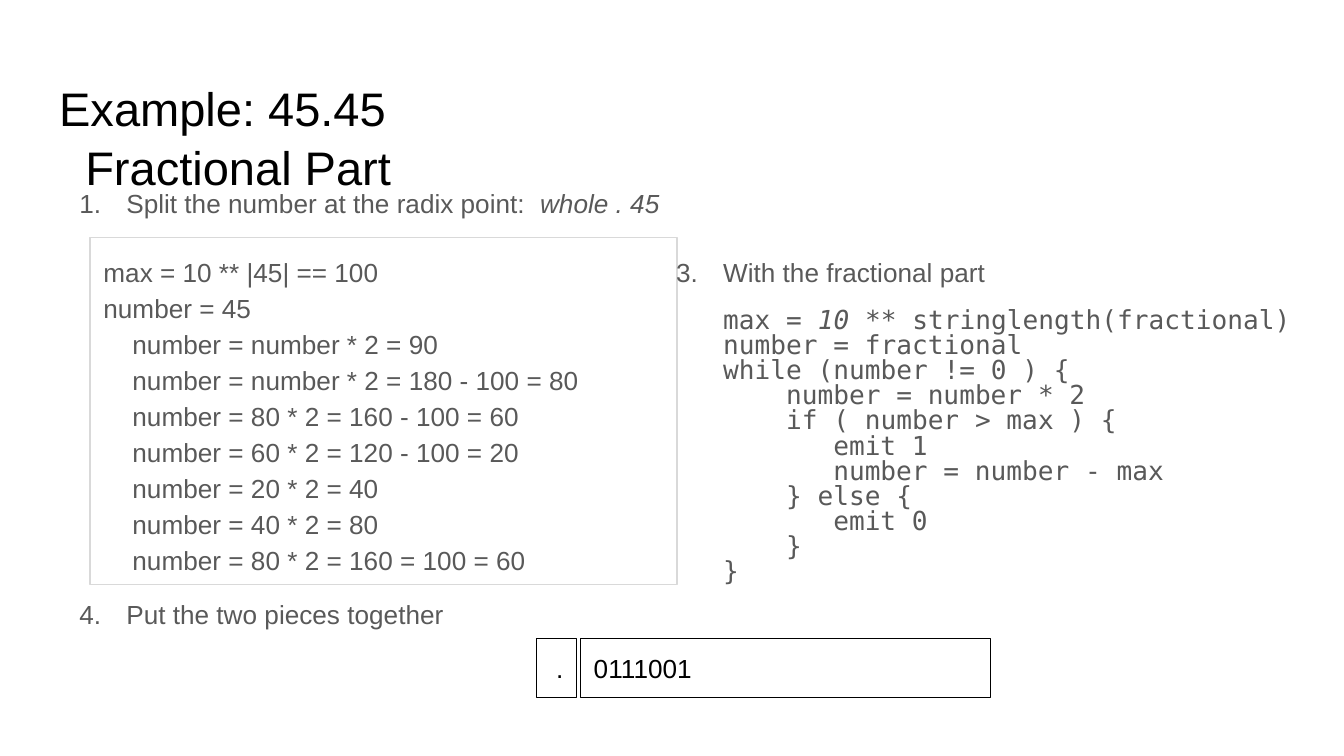
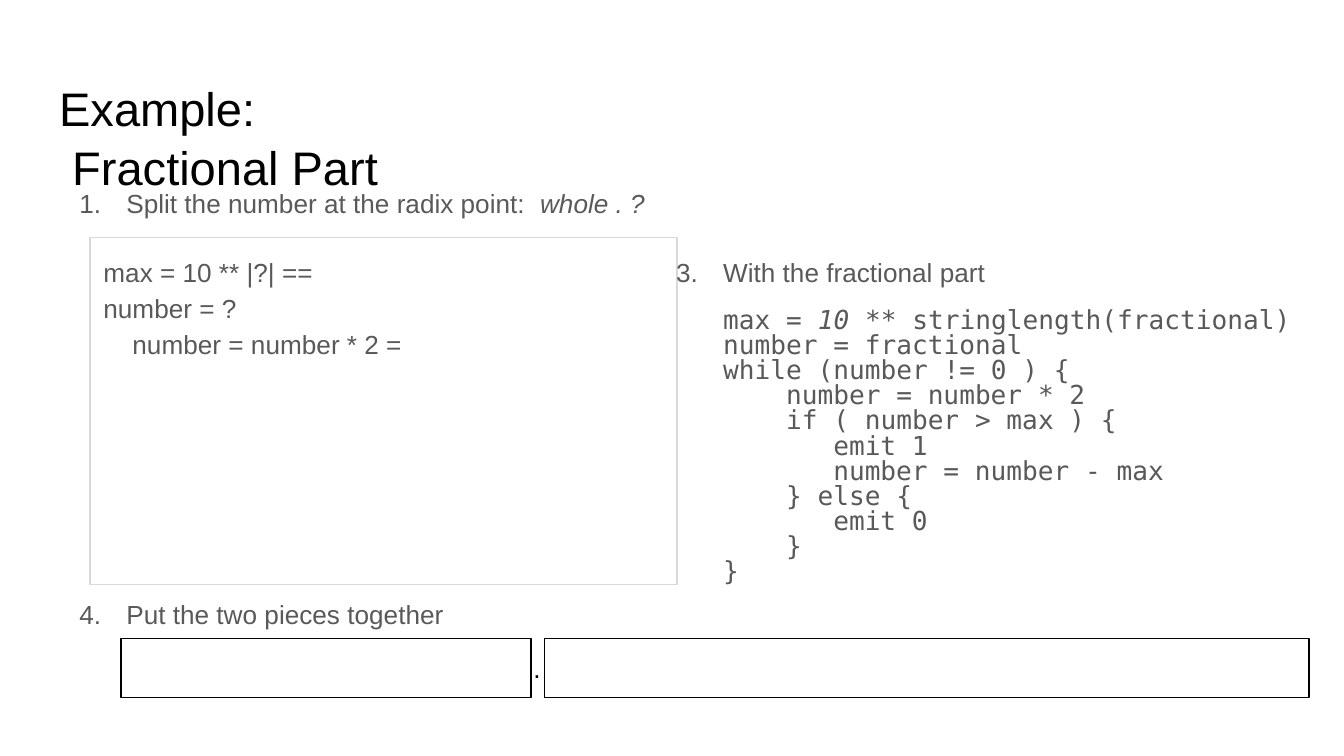
from dataclasses import dataclass

from lxml.etree import SubElement
from pptx import Presentation
from pptx.dml.color import RGBColor
from pptx.enum.shapes import MSO_SHAPE as Shape
from pptx.enum.text import MSO_ANCHOR as Anchor, MSO_AUTO_SIZE as AutoSize, PP_ALIGN as Align
from pptx.oxml.ns import qn
from pptx.util import Pt


@dataclass(frozen=True)
class Theme:
    ink: str = "000000"
    grey: str = "595959"
    rule: str = "D9D9D9"
    sans: str = "Arial"
    mono: str = "DejaVu Sans Mono"
    title: float = 25.2
    body: float = 14
    line: float = 0.75
    inset: float = 7.2


T = Theme()

# Lines of code are (columns of indent, text); result boxes are
# (left, width, text, alignment, outlined).
SLIDES = [
    dict(
        title="Example: 45.45", subtitle_indent=14, fraction="whole . 45",
        work=[
            (0, "max = 10 ** |45| == 100"),
            (0, "number = 45"),
            (4, "number = number * 2 = 90"),
            (4, "number = number * 2 = 180 - 100 = 80"),
            (4, "number = 80 * 2 = 160 - 100 = 60"),
            (4, "number = 60 * 2 = 120 - 100 = 20"),
            (4, "number = 20 * 2 = 40"),
            (4, "number = 40 * 2 = 80"),
            (4, "number = 80 * 2 = 160 = 100 = 60"),
        ],
        result=[(311, 219.6, "0111001", Align.LEFT, True),
                (287.3, 21.6, ".", Align.RIGHT, True)],
    ),
    dict(
        title="Example:", subtitle_indent=7, fraction="whole . ?",
        work=[
            (0, "max = 10 ** |?| =="),
            (0, "number = ?"),
            (4, "number = number * 2 ="),
        ],
        result=[(291.6, 409.7, "", Align.LEFT, True),
                (64.8, 219.6, "", Align.LEFT, True),
                (278.6, 15.1, ".", Align.LEFT, False)],
    ),
]
SUBTITLE = "Fractional Part"
SPLIT, FRACTION, JOIN = ("Split the number at the radix point:  ",
                         "With the fractional part", "Put the two pieces together")
ALGORITHM = [
    (0, ["max = ", "10 ", "** stringlength(fractional)"]),
    (0, ["number = fractional"]),
    (0, ["while (number != 0 ) {"]),
    (4, ["number = number * 2"]),
    (4, ["if ( number > max ) {"]),
    (7, ["emit 1"]),
    (7, ["number = number - max"]),
    (4, ["} else {"]),
    (7, ["emit 0"]),
    (4, ["}"]),
    (0, ["}"]),
]

TITLE_BOX = (24.5, 35.3, 671, 45.4)
STEPS_BOX = (24.5, 90.7, 655.2, 269.3)
WORK_BOX = (48.2, 127.4, 314.6, 185.8)
CODE_BOX = (344.2, 133.2, 365.8, 214.6)
RESULT_TOP, RESULT_HEIGHT = 342, 31.7
STEP_INDENT, STEP_HANG = 36, -25.2
JOIN_GAP = 200.6                   # leaves room for the work and the code
SPACE_WIDTH = 0.278 * T.body       # one blank in the sans font
COLUMN_WIDTH = 0.602 * T.body      # one character in the mono font


def prepare(shape, box=None, anchor=Anchor.TOP):
    """Place a shape and return its text frame with the shared insets."""
    if box:
        shape.left, shape.top, shape.width, shape.height = map(Pt, box)
    tf = shape.text_frame
    tf.word_wrap, tf.auto_size, tf.vertical_anchor = True, AutoSize.NONE, anchor
    tf.margin_left = tf.margin_right = tf.margin_top = tf.margin_bottom = Pt(T.inset)
    return tf


def add_text(tf, *runs, size=T.body, font=T.sans, color=T.grey, align=Align.LEFT,
             spacing=1.0, before=0, indent=0, hang=0, number=None, italic=None):
    """Add a paragraph; italic is the index of the slanted run, if any."""
    p = tf.paragraphs[0]
    if p.runs:
        p = tf.add_paragraph()
    p.alignment, p.line_spacing = align, spacing
    p.space_before, p.space_after = Pt(before), Pt(0)
    pPr = p._p.get_or_add_pPr()
    pPr.set("marL", str(Pt(indent)))
    pPr.set("indent", str(Pt(hang)))
    if number:
        SubElement(SubElement(pPr, qn("a:buClr")), qn("a:srgbClr"), val=color)
        SubElement(pPr, qn("a:buFont"), typeface=font)
        SubElement(pPr, qn("a:buAutoNum"), type="arabicPeriod", startAt=str(number))
    else:
        SubElement(pPr, qn("a:buNone"))
    for i, text in enumerate(runs):
        r = p.add_run()
        r.text = text
        r.font.size, r.font.name = Pt(size), font
        r.font.bold, r.font.italic = False, i == italic
        r.font.color.rgb = RGBColor.from_string(color)


def add_step(tf, number, *runs, **fmt):
    add_text(tf, *runs, number=number, indent=STEP_INDENT, hang=STEP_HANG, **fmt)


def outline(shape, color):
    shape.line.color.rgb = RGBColor.from_string(color)
    shape.line.width = Pt(T.line)


def add_result(s, left, width, text, align, outlined):
    box = [Pt(v) for v in (left, RESULT_TOP, width, RESULT_HEIGHT)]
    if outlined:
        sp = s.shapes.add_shape(Shape.RECTANGLE, *box)
        sp.shadow.inherit = False
        sp.fill.background()
        outline(sp, T.ink)
    else:
        sp = s.shapes.add_textbox(*box)
    if text:
        add_text(prepare(sp, anchor=Anchor.BOTTOM), text, color=T.ink, align=align)


def add_example(prs, content):
    s = prs.slides.add_slide(prs.slide_layouts.get_by_name("Comparison"))
    work, steps, spare, code = list(s.placeholders)[1:]
    spare.element.getparent().remove(spare.element)

    tf = prepare(steps, STEPS_BOX)
    add_step(tf, 1, SPLIT, content["fraction"], spacing=1.15, italic=1)
    add_step(tf, 4, JOIN, spacing=1.15, before=JOIN_GAP)

    tf = prepare(s.shapes.title, TITLE_BOX)
    heading = dict(size=T.title, color=T.ink)
    add_text(tf, content["title"], **heading)
    add_text(tf, SUBTITLE, before=1.5, indent=content["subtitle_indent"], **heading)

    tf = prepare(work, WORK_BOX)
    outline(work, T.rule)
    for columns, text in content["work"]:
        add_text(tf, text, spacing=1.15, indent=columns * SPACE_WIDTH)

    tf = prepare(code, CODE_BOX)
    add_step(tf, 3, FRACTION, spacing=0.8)
    for i, (columns, runs) in enumerate(ALGORITHM):
        add_text(tf, *runs, font=T.mono, spacing=0.8, before=0 if i else 12,
                 indent=STEP_INDENT + columns * COLUMN_WIDTH, italic=1)

    for part in content["result"]:
        add_result(s, *part)


def main():
    prs = Presentation()
    prs.slide_width, prs.slide_height = Pt(720), Pt(405)
    for content in SLIDES:
        add_example(prs, content)
    prs.save("out.pptx")


if __name__ == "__main__":
    main()
